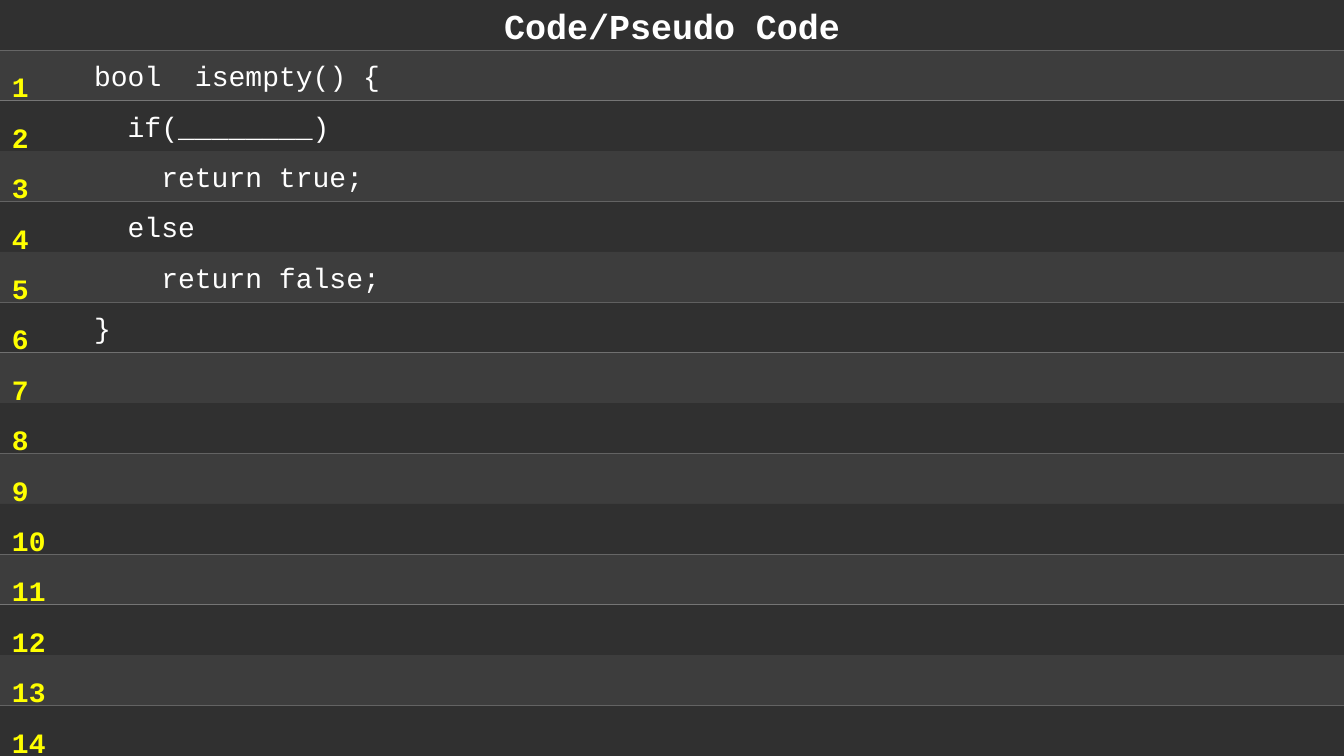
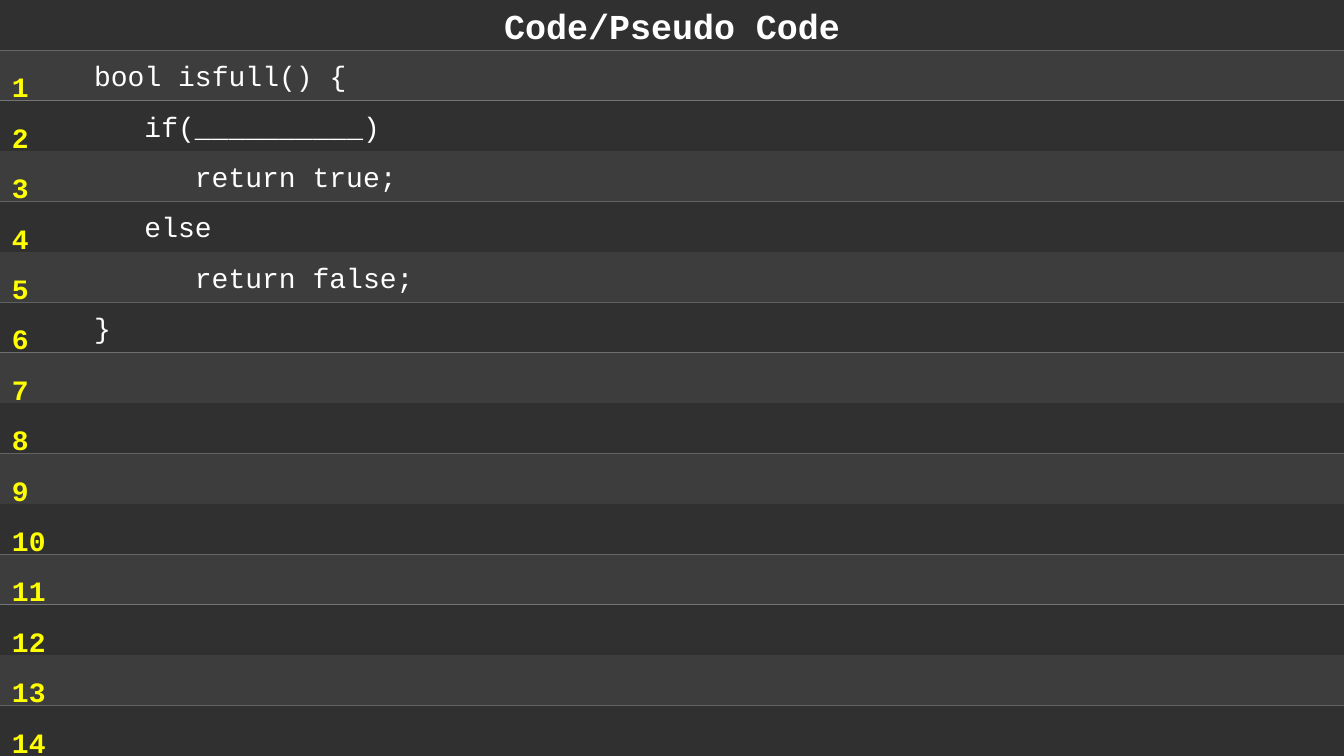
from pptx import Presentation
from pptx.dml.color import RGBColor
from pptx.enum.shapes import MSO_SHAPE as SHAPE
from pptx.enum.text import MSO_ANCHOR as ANCHOR, MSO_AUTO_SIZE as FIT, PP_ALIGN as ALIGN
from pptx.util import Pt

# Palette
DARK = RGBColor(0x30, 0x30, 0x30)
LIGHT = RGBColor(0x3D, 0x3D, 0x3D)
WHITE = RGBColor(0xFF, 0xFF, 0xFF)
YELLOW = RGBColor(0xFF, 0xFF, 0x00)

# Grid, in points
WIDTH, HEIGHT = 960, 540
ROW = 36
LINES = 14
INSET = 7.2
CODE_LEFT = 67.2
CHAR = 12  # width of one character at the code size

TITLE = "Code/Pseudo Code"

# Each line of code: indent in characters, text
LISTINGS = [
    [(0, "bool  isempty() {"), (2, "if(________)"), (4, "return true;"),
     (2, "else"), (4, "return false;"), (0, "}")],
    [(0, "bool isfull() {"), (3, "if(__________)"), (6, "return true;"),
     (3, "else"), (6, "return false;"), (0, "}")],
]


class CodeDeck:
    """Holds the style and the slide being built."""

    def __init__(self):
        self.prs = Presentation()
        self.prs.slide_width, self.prs.slide_height = Pt(WIDTH), Pt(HEIGHT)
        self.s = None

    def style(self, p, size, color, bold=False):
        f = p.font
        f.name, f.size, f.bold = "Courier New", Pt(size), bold
        f.color.rgb = color

    def place(self, sp, left, top, width, height):
        sp.left, sp.top = Pt(left), Pt(top)
        sp.width, sp.height = Pt(width), Pt(height)

    def fill(self, sp, color):
        sp.fill.solid()
        sp.fill.fore_color.rgb = color

    def title(self, text):
        sp = self.s.shapes.title
        self.place(sp, 0, 0, WIDTH, ROW)
        self.fill(sp, DARK)
        tf = sp.text_frame
        tf.text = text
        tf.auto_size, tf.vertical_anchor = FIT.NONE, ANCHOR.MIDDLE
        p = tf.paragraphs[0]
        p.alignment = ALIGN.CENTER
        self.style(p, 25, WHITE, bold=True)

    def band(self, number, indent=0, text=""):
        sp = self.s.shapes.add_shape(
            SHAPE.RECTANGLE, 0, Pt(number * ROW), Pt(WIDTH), Pt(ROW))
        sp.shadow.inherit = False
        sp.line.fill.background()
        self.fill(sp, LIGHT if number % 2 else DARK)
        if text:
            tf = sp.text_frame
            tf.text = text
            tf.vertical_anchor = ANCHOR.MIDDLE
            tf.margin_left = Pt(CODE_LEFT + indent * CHAR)
            p = tf.paragraphs[0]
            p.alignment = ALIGN.LEFT
            self.style(p, 20, WHITE)

    def line_numbers(self):
        sp = self.s.shapes.add_textbox(Pt(1.44), Pt(32), Pt(40), Pt(513))
        tf = sp.text_frame
        tf.word_wrap = True
        tf.margin_left, tf.margin_top = Pt(INSET), Pt(6)
        tf.text = "\n".join(str(n) for n in range(1, LINES + 1))
        for p in tf.paragraphs:
            p.line_spacing = Pt(ROW)
            self.style(p, 20, YELLOW, bold=True)

    def code_slide(self, code):
        self.s = self.prs.slides.add_slide(self.prs.slide_layouts[5])
        self.title(TITLE)
        # Striped rows, the first ones holding code
        blank = [(0, "")] * (LINES - len(code))
        for number, (indent, text) in enumerate(code + blank, 1):
            self.band(number, indent, text)
        self.line_numbers()


def main():
    deck = CodeDeck()
    for code in LISTINGS:
        deck.code_slide(code)
    deck.prs.save("out.pptx")


if __name__ == "__main__":
    main()
